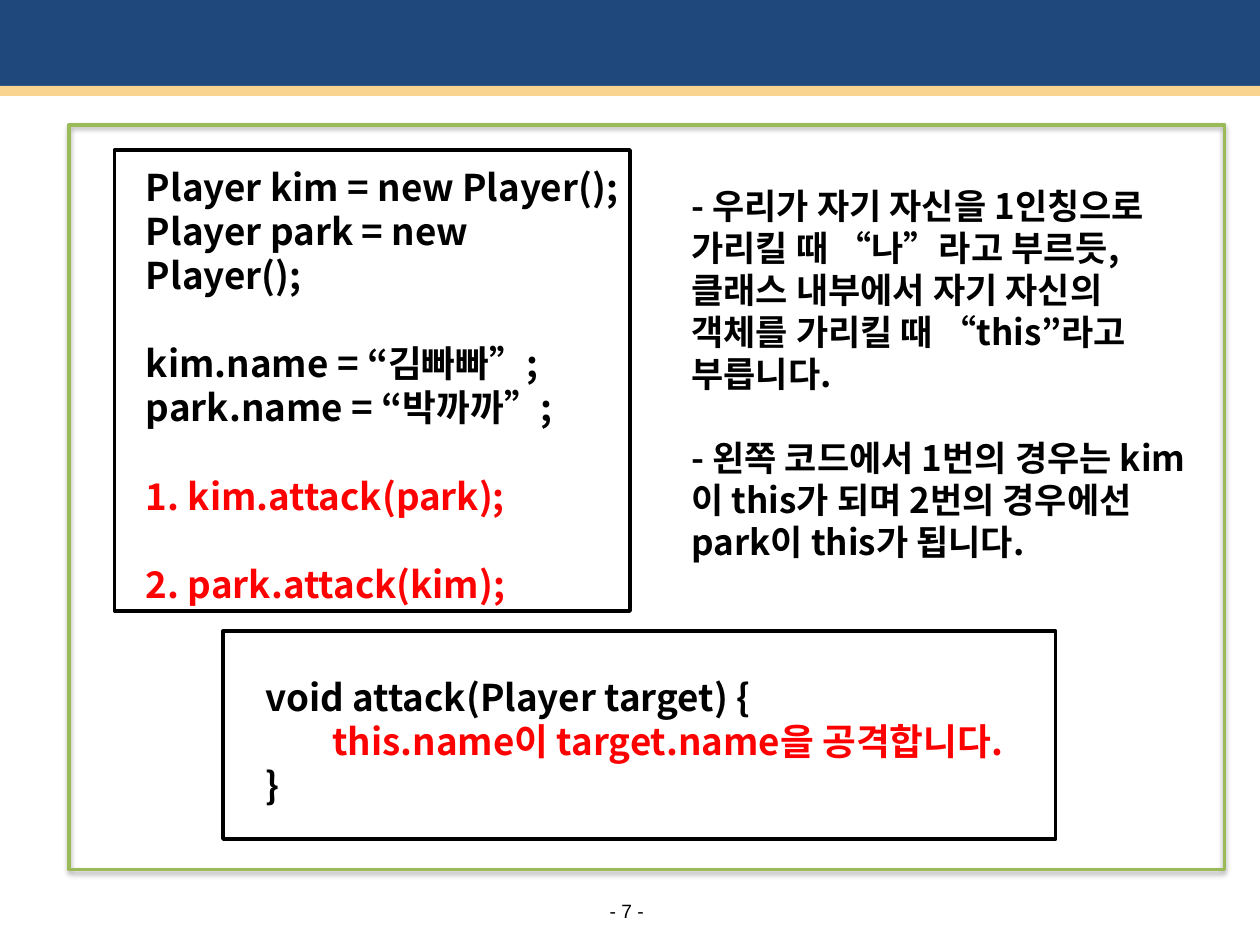
from lxml import etree
from pptx import Presentation, util as u
from pptx.dml.color import RGBColor
from pptx.enum import shapes, text
from pptx.oxml import ns

NAVY = RGBColor(0x1F, 0x49, 0x7D)
SAND = RGBColor(0xF9, 0xD4, 0x90)
GREEN = RGBColor(0x9B, 0xBB, 0x59)
BLACK = RGBColor(0, 0, 0)
RED = RGBColor(0xFF, 0, 0)

BODY_FONT = "Noto Sans CJK KR"
LINE_PITCH = 1.2  # line height as a multiple of the font size

# Bands and frames: left, top, width, height in points
BANDS = [((0, -2.2, 720, 54.7), NAVY), ((0, 49, 720, 5.8), SAND)]
PANEL = (39.6, 71.3, 660.2, 425.5)
CODE_FRAMES = [(65.5, 85.7, 294.5, 263.5), (127.4, 360.7, 475.9, 118.8)]
PAGE_NUMBER = ("- 7 -", (342.7, 513.4, 31, 13.7))

# Paragraphs: text, colour, whether a one-line gap comes first
USAGE_CODE = [
    ("Player kim = new Player();", BLACK, False),
    ("Player park = new Player();", BLACK, False),
    ("kim.name = “김빠빠”;", BLACK, True),
    ("park.name = “박까까”;", BLACK, False),
    ("1. kim.attack(park);", RED, True),
    ("2. park.attack(kim);", RED, True),
]
EXPLANATION = [
    ("- 우리가 자기 자신을 1인칭으로 가리킬 때 “나”라고 부르듯,", BLACK, False),
    ("클래스 내부에서 자기 자신의 객체를 가리킬 때 “this”라고 부릅니다.", BLACK, False),
    ("- 왼쪽 코드에서 1번의 경우는 kim이 this가 되며 "
     "2번의 경우에선 park이 this가 됩니다.", BLACK, True),
]
METHOD_CODE = [
    ("void attack(Player target) {", BLACK, False),
    ("        this.name이 target.name을 공격합니다.", RED, False),
    ("}", BLACK, False),
]
TEXTS = [
    (USAGE_CODE, (76.3, 88.6, 289.4, 234), 21),
    (EXPLANATION, (388.1, 100.1, 300.2, 223.2), 20),
    (METHOD_CODE, (144.7, 380.2, 524.2, 82.8), 21),
]


def points(box):
    return [u.Pt(length) for length in box]


def add_box(slide, box, fill=None, line=None, kind=shapes.MSO_SHAPE.RECTANGLE):
    shape = slide.shapes.add_shape(kind, *points(box))
    shape.shadow.inherit = False
    if fill is None:
        shape.fill.background()
    else:
        shape.fill.solid()
        shape.fill.fore_color.rgb = fill
    if line is None:
        shape.line.fill.background()
    else:
        shape.line.color.rgb = line
        shape.line.width = u.Pt(2)
    return shape


def add_shadow(shape):
    effects = shape._element.spPr.find(ns.qn("a:effectLst"))
    shadow = etree.SubElement(
        effects, ns.qn("a:outerShdw"), blurRad=str(u.Pt(3.1)),
        dist=str(u.Pt(1.8)), dir=str(90 * 60000), rotWithShape="0")
    colour = etree.SubElement(shadow, ns.qn("a:srgbClr"), val="000000")
    etree.SubElement(colour, ns.qn("a:alpha"), val="35000")


def add_text(slide, paragraphs, box, size):
    frame = slide.shapes.add_textbox(*points(box)).text_frame
    frame.word_wrap = True
    frame.margin_top = u.Pt(5.5)
    pitch = u.Pt(round(size * LINE_PITCH, 1))
    for index, (words, colour, gap) in enumerate(paragraphs):
        paragraph = frame.add_paragraph() if index else frame.paragraphs[0]
        paragraph.line_spacing = pitch
        if gap:
            paragraph.space_before = pitch
        run = paragraph.add_run()
        run.text = words
        run.font.name = BODY_FONT
        run.font.size = u.Pt(size)
        run.font.bold = True
        run.font.color.rgb = colour
        # Korean letters use the East Asian typeface
        etree.SubElement(run.font._element, ns.qn("a:ea"), typeface=BODY_FONT)


def add_page_number(slide, words, box):
    frame = slide.shapes.add_textbox(*points(box)).text_frame
    frame.word_wrap = False
    frame.vertical_anchor = text.MSO_ANCHOR.MIDDLE
    frame.margin_left = frame.margin_right = 0
    frame.margin_top = frame.margin_bottom = 0
    paragraph = frame.paragraphs[0]
    paragraph.text = words
    paragraph.alignment = text.PP_ALIGN.CENTER
    paragraph.font.name = "Arial"
    paragraph.font.size = u.Pt(11)
    paragraph.font.color.rgb = BLACK


def main():
    presentation = Presentation()
    presentation.slide_width = u.Pt(720)
    presentation.slide_height = u.Pt(540)
    slide = presentation.slides.add_slide(presentation.slide_layouts[6])

    # Header bands and page number
    for box, colour in BANDS:
        add_box(slide, box, fill=colour)
    add_page_number(slide, *PAGE_NUMBER)

    # Content panel and code frames
    add_shadow(add_box(slide, PANEL, line=GREEN,
                       kind=shapes.MSO_SHAPE.FLOWCHART_PROCESS))
    for box in CODE_FRAMES:
        add_box(slide, box, line=BLACK)

    # Code and explanation
    for paragraphs, box, size in TEXTS:
        add_text(slide, paragraphs, box, size)

    presentation.save("out.pptx")


if __name__ == "__main__":
    main()
